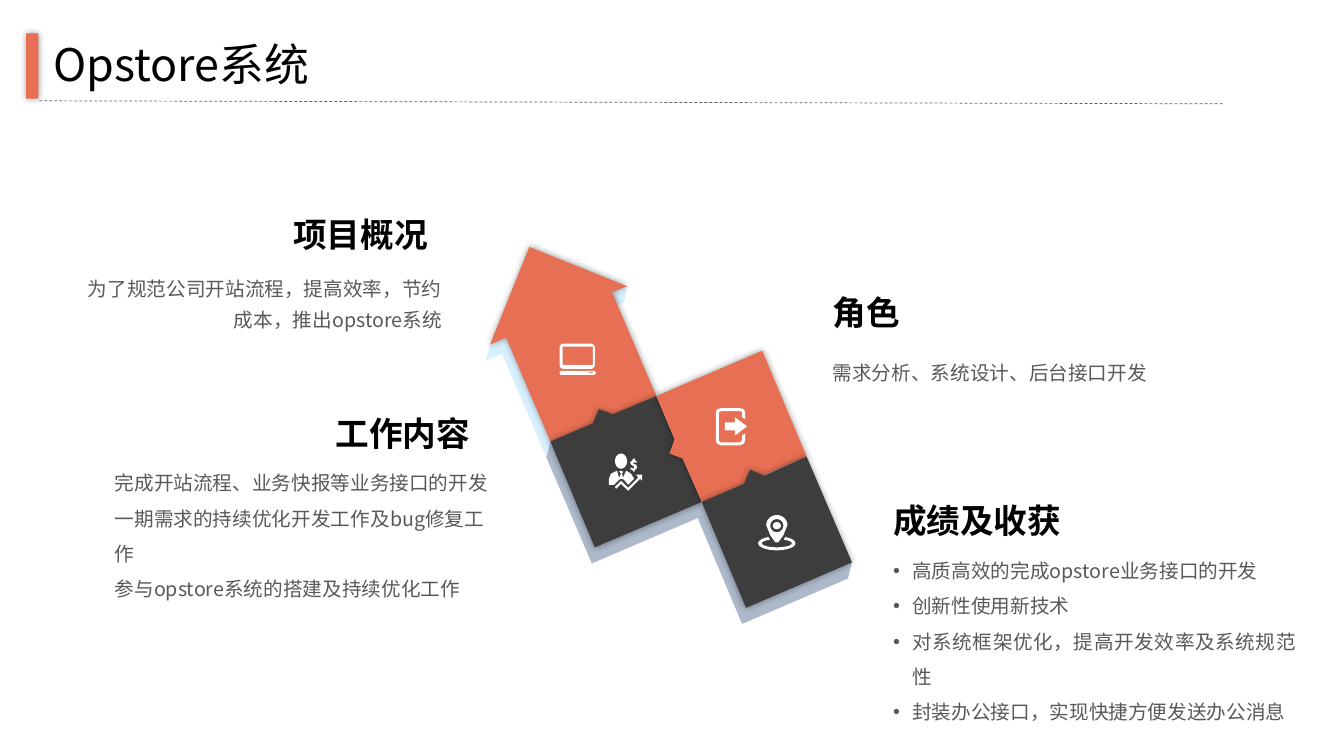
import math
from lxml import etree
from pptx import Presentation
from pptx import util as u
from pptx.dml.color import RGBColor
from pptx.enum import dml, shapes, text
from pptx.oxml import ns

PX = 9144
FONT = "Noto Sans CJK SC"
ORANGE = RGBColor(0xE7, 0x6F, 0x53)
CHARCOAL = RGBColor(0x3D, 0x3D, 0x3D)
PALE_BLUE = RGBColor(0xD8, 0xF0, 0xFD)
GREY_BLUE = RGBColor(0xAD, 0xB9, 0xCA)
GREY = RGBColor(0x59, 0x59, 0x59)
BLACK = RGBColor(0, 0, 0)
WHITE = RGBColor(0xFF, 0xFF, 0xFF)

ARROW_SIDE = [(522, 261), (564, 278), (622, 284), (619, 300), (603, 306), (647, 409),
              (542, 454), (498, 351), (482, 358), (486, 342), (490, 340)]
ARROW_FACE = [(525, 245), (622, 284), (607, 290), (651, 393), (546, 438), (502, 335), (486, 342)]
WORK_SIDE = [(647, 409), (683, 493), (692, 493), (696, 498), (692, 514), (587, 559),
             (542, 454), (546, 438), (574, 440), (584, 436), (590, 422), (604, 427)]
WORK_FACE = [(588, 420), (594, 406), (608, 411), (651, 393), (696, 498), (590, 543), (546, 438)]
ROLE_FACE = [(669, 436), (651, 393), (756, 348), (800, 453), (696, 498), (677, 455), (664, 450)]
RESULT_SIDE = [(797, 469), (845, 558), (841, 574), (736, 619), (692, 514), (696, 498),
               (714, 505), (734, 496), (740, 482), (754, 488)]
RESULT_FACE = [(738, 480), (744, 466), (758, 472), (800, 453), (845, 558), (740, 603), (696, 498)]

DOOR = [(739, 416), (736, 414), (736, 409), (734, 408), (715, 408), (713, 409), (713, 437),
        (715, 439), (734, 439), (736, 437), (736, 432), (739, 430), (739, 437), (738, 440),
        (734, 442), (715, 442), (711, 440), (710, 437), (710, 409), (711, 406), (715, 405),
        (734, 405), (738, 406), (739, 409)]
EXIT_ARROW = [(729, 414), (741, 423), (729, 432), (729, 427), (719, 427), (719, 419), (729, 419)]
BODY = [(604, 481), (604, 475), (606, 470), (612, 467), (614, 474), (616, 470), (614, 468),
        (616, 467), (618, 468), (617, 470), (618, 474), (621, 467), (626, 470), (629, 475),
        (627, 477), (623, 481), (619, 476), (616, 475), (614, 476), (609, 481)]
TREND = [(637, 471), (637, 477), (635, 475), (623, 487), (616, 480), (611, 485), (610, 483),
         (616, 477), (623, 484), (633, 474), (631, 471)]
DOLLAR = [(628, 455), (630, 455), (630, 457), (632, 458), (631, 459), (628, 459), (628, 460),
          (631, 461), (632, 464), (630, 466), (629, 468), (628, 468), (628, 467), (625, 465),
          (626, 464), (629, 465), (629, 463), (626, 461), (625, 459), (627, 457)]


def arc(x, y, rx, ry, start=0, end=360):
    angles = [math.radians(start + (end - start) * i / 24) for i in range(25)]
    return [(x + rx * math.cos(a), y + ry * math.sin(a)) for a in angles]


def rounded(left, top, right, bottom, radius):
    corners = [(right, bottom, -1, -1, 0), (left, bottom, 1, -1, 90),
               (left, top, 1, 1, 180), (right, top, -1, 1, 270)]
    return [point for x, y, dx, dy, start in corners
            for point in arc(x + dx * radius, y + dy * radius, radius, radius, start, start + 90)]


def add_shadow(shape):
    effects = shape._element.spPr.find(ns.qn("a:effectLst"))
    shadow = etree.SubElement(effects, ns.qn("a:outerShdw"), blurRad=str(u.Pt(5)),
                              dist="0", dir="0", algn="ctr", rotWithShape="0")
    color = etree.SubElement(shadow, ns.qn("a:srgbClr"), val="000000")
    etree.SubElement(color, ns.qn("a:alpha"), val="40000")


def paint(shape, color, shadowed=False):
    shape.shadow.inherit = False
    shape.fill.solid()
    shape.fill.fore_color.rgb = color
    shape.line.fill.background()
    if shadowed:
        add_shadow(shape)


def add_outline(group, contours, color, shadowed=False):
    scaled = [[(x * PX, y * PX) for x, y in contour] for contour in contours]
    builder = group.shapes.build_freeform(*scaled[0][0], scale=1.0)
    for index, contour in enumerate(scaled):
        if index:
            builder.move_to(*contour[0])
        builder.add_line_segments(contour[1:], close=True)
    paint(builder.convert_to_shape(), color, shadowed)


def add_bullet(paragraph):
    properties = paragraph._p.get_or_add_pPr()
    properties.set("marL", str(19 * PX))
    properties.set("indent", str(-19 * PX))
    etree.SubElement(properties, ns.qn("a:buFont"), typeface="Arial")
    etree.SubElement(properties, ns.qn("a:buChar"), char="•")


def add_text(owner, box, lines, size, color, bold=False, wrap=True, align=text.PP_ALIGN.LEFT,
             spacing=1.0, bulleted=False):
    shape = owner.shapes.add_textbox(*[value * PX for value in box])
    frame = shape.text_frame
    frame.word_wrap = wrap
    frame.auto_size = text.MSO_AUTO_SIZE.SHAPE_TO_FIT_TEXT
    for index, line in enumerate(lines):
        paragraph = frame.add_paragraph() if index else frame.paragraphs[0]
        if bulleted:
            add_bullet(paragraph)
        paragraph.alignment = align
        paragraph.line_spacing = spacing
        run = paragraph.add_run()
        run.text = line
        run.font.size = u.Pt(size)
        run.font.bold = bold
        run.font.color.rgb = color
        run.font.name = FONT
        etree.SubElement(run._r.get_or_add_rPr(), ns.qn("a:ea"), typeface=FONT)


def add_topic(slide, heading, heading_box, lines, body_box, **layout):
    group = slide.shapes.add_group_shape()
    add_text(group, body_box, lines, 14, GREY, **layout)
    add_text(group, heading_box, [heading], 24, BLACK, bold=True, wrap=False)


def add_title(slide, title):
    bar = slide.shapes.add_shape(shapes.MSO_SHAPE.RECTANGLE, 26 * PX, 33 * PX, 12 * PX, 65 * PX)
    paint(bar, ORANGE, True)
    rule = slide.shapes.add_connector(shapes.MSO_CONNECTOR.STRAIGHT,
                                      39 * PX, 100 * PX, 1213 * PX, 103 * PX)
    rule.line.color.rgb = GREY
    rule.line.width = u.Pt(0.5)
    rule.line.dash_style = dml.MSO_LINE.DASH
    etree.SubElement(rule._element.spPr, ns.qn("a:effectLst"))
    add_text(slide, (43, 32, 692, 64), [title], 32, BLACK)


def add_arrow_diagram(slide):
    group = slide.shapes.add_group_shape()
    for points, color, shadowed in [
        (ARROW_SIDE, PALE_BLUE, False), (ARROW_FACE, ORANGE, True),
        (WORK_SIDE, GREY_BLUE, False), (WORK_FACE, CHARCOAL, True),
        (ROLE_FACE, ORANGE, True),
        (RESULT_SIDE, GREY_BLUE, False), (RESULT_FACE, CHARCOAL, True),
    ]:
        add_outline(group, [points], color, shadowed)

    laptop = [rounded(555, 341, 590, 366, 4), rounded(558, 344, 588, 362, 0),
              rounded(555, 368, 591, 372, 2), rounded(584, 369, 588, 370, 0)]
    pin = arc(770.5, 521, 10.5, 10, 180, 360) + [(777, 531), (772, 538), (769, 538), (764, 531)]
    ground = arc(770.5, 539, 18.5, 7, -63, 243) + arc(770.5, 539, 15, 4, 243, -63)
    location = [ground, pin, arc(770.5, 521.5, 6.5, 6.5), arc(770.5, 521.5, 4, 3.5)]
    person = [TREND, BODY, DOLLAR, arc(616, 457.5, 6, 7.5)]
    for icon in (laptop, location, [EXIT_ARROW, DOOR], person):
        add_outline(group, icon, WHITE)


def main():
    presentation = Presentation()
    presentation.slide_width = 1333 * PX
    presentation.slide_height = 750 * PX
    slide = presentation.slides.add_slide(presentation.slide_layouts[6])
    add_title(slide, "Opstore系统")
    add_arrow_diagram(slide)
    add_topic(slide, "角色", (816, 285, 88, 50),
              ["需求分析、系统设计、后台接口开发"], (816, 341, 366, 42),
              align=text.PP_ALIGN.JUSTIFY, spacing=1.5)
    add_topic(slide, "成绩及收获", (876, 491, 216, 42),
              ["高质高效的完成opstore业务接口的开发", "创新性使用新技术",
               "对系统框架优化，提高开发效率及系统规范性",
               "封装办公接口，实现快捷方便发送办公消息"], (876, 538, 419, 212),
              align=text.PP_ALIGN.JUSTIFY, spacing=1.5, bulleted=True)
    add_topic(slide, "项目概况", (281, 207, 155, 50),
              ["为了规范公司开站流程，提高效率，节约成本，推出opstore系统"], (66, 263, 382, 100),
              align=text.PP_ALIGN.RIGHT, spacing=1.3)
    add_topic(slide, "工作内容", (323, 405, 172, 42),
              ["完成开站流程、业务快报等业务接口的开发",
               "一期需求的持续优化开发工作及bug修复工作",
               "参与opstore系统的搭建及持续优化工作"], (104, 451, 404, 177), spacing=1.5)
    presentation.save("out.pptx")


if __name__ == "__main__":
    main()
